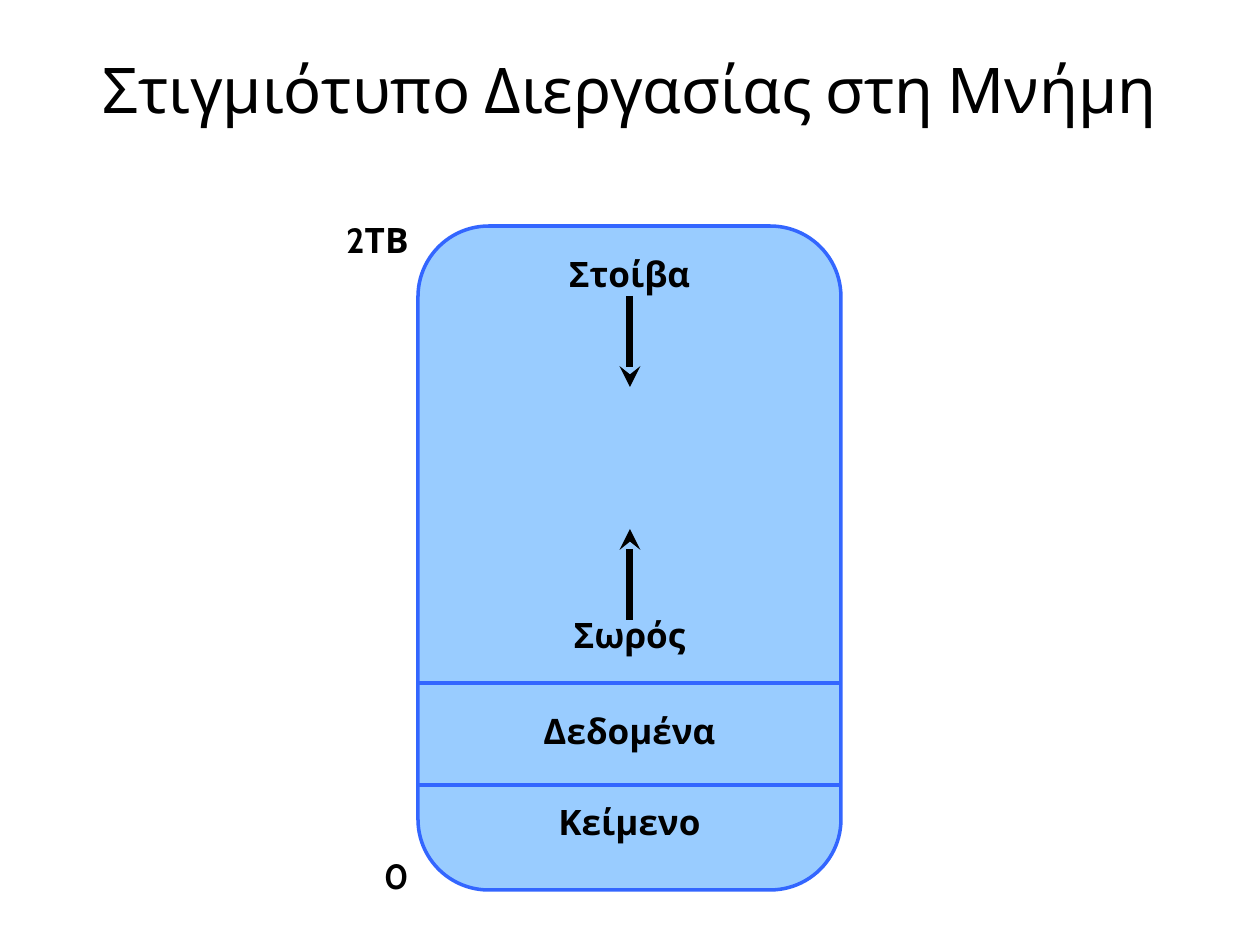
"""Build a slide showing the layout of a process in memory."""
import pptx
import pptx.dml.color
import pptx.enum.shapes
import pptx.enum.text
import pptx.oxml.ns
import pptx.util
from lxml import etree

PIXEL = 914400 // 126
FONT = "Cabin"
BLACK, BLUE, LIGHT_BLUE = "000000", "3366FF", "99CCFF"
ALIGN = pptx.enum.text.PP_ALIGN
ANCHOR = pptx.enum.text.MSO_ANCHOR

TITLE = "Στιγμιότυπο Διεργασίας στη Μνήμη"
TITLE_BOX = (63, 38, 1134, 101)
MEMORY_BOX = (418, 226, 423, 664)
SEGMENTS = [("Στοίβα", 0), ("Σωρός", 182), ("Δεδομένα", 31), ("Κείμενο", 28)]
ADDRESSES = [("0", (364, 848, 57, 54)), ("2ΤΒ", (311, 212, 110, 54))]
DIVIDERS = [785, 683]
GROWTH_ARROWS = [(620, 529), (296, 387)]


def px(*lengths):
    return [length * PIXEL for length in lengths]


def color(value):
    return pptx.dml.color.RGBColor.from_string(value)


def format_paragraph(paragraph, size, alignment, bold):
    paragraph.alignment = alignment
    for run in paragraph.runs:
        run.font.name = FONT
        run.font.size = pptx.util.Pt(size)
        run.font.bold = bold
        run.font.color.rgb = color(BLACK)


def add_title(slide):
    title = slide.shapes.title
    title.left, title.top, title.width, title.height = px(*TITLE_BOX)
    title.text_frame.text = TITLE
    title.text_frame.vertical_anchor = ANCHOR.MIDDLE
    format_paragraph(title.text_frame.paragraphs[0], 36, ALIGN.CENTER, False)


def add_memory(slide):
    memory = slide.shapes.add_shape(
        pptx.enum.shapes.MSO_SHAPE.ROUNDED_RECTANGLE, *px(*MEMORY_BOX))
    memory.adjustments[0] = 0.167
    memory.shadow.inherit = False
    memory.fill.solid()
    memory.fill.fore_color.rgb = color(LIGHT_BLUE)
    memory.line.color.rgb = color(BLUE)
    memory.line.width = pptx.util.Pt(2)
    frame = memory.text_frame
    frame.word_wrap = False
    frame.vertical_anchor = ANCHOR.TOP
    frame.text = "\n".join(name for name, gap in SEGMENTS)
    for paragraph, (name, gap) in zip(frame.paragraphs, SEGMENTS):
        paragraph.space_before = pptx.util.Pt(gap)
        format_paragraph(paragraph, 20, ALIGN.CENTER, True)


def add_address(slide, text, box):
    frame = slide.shapes.add_textbox(*px(*box)).text_frame
    frame.word_wrap = True
    frame.text = text
    format_paragraph(frame.paragraphs[0], 20, ALIGN.RIGHT, True)


def add_line(slide, ends, line_color, width, arrow=False):
    connector = slide.shapes.add_connector(
        pptx.enum.shapes.MSO_CONNECTOR.STRAIGHT, *px(*ends))
    connector.line.color.rgb = color(line_color)
    connector.line.width = pptx.util.Pt(width)
    if arrow:
        etree.SubElement(connector.line._get_or_add_ln(),
                         pptx.oxml.ns.qn("a:tailEnd"), type="stealth")
    etree.SubElement(connector._element.spPr, pptx.oxml.ns.qn("a:effectLst"))


def main():
    presentation = pptx.Presentation()
    presentation.slide_width, presentation.slide_height = px(1260, 945)
    slide = presentation.slides.add_slide(presentation.slide_layouts[5])
    add_title(slide)
    add_memory(slide)
    for text, box in ADDRESSES:
        add_address(slide, text, box)
    left, top, width, height = MEMORY_BOX
    for y in DIVIDERS:
        add_line(slide, (left + width, y, left, y), BLUE, 2)
    center = left + width // 2 + 1
    for start, end in GROWTH_ARROWS:
        add_line(slide, (center, start, center, end), BLACK, 4, arrow=True)
    presentation.save("out.pptx")


if __name__ == "__main__":
    main()
